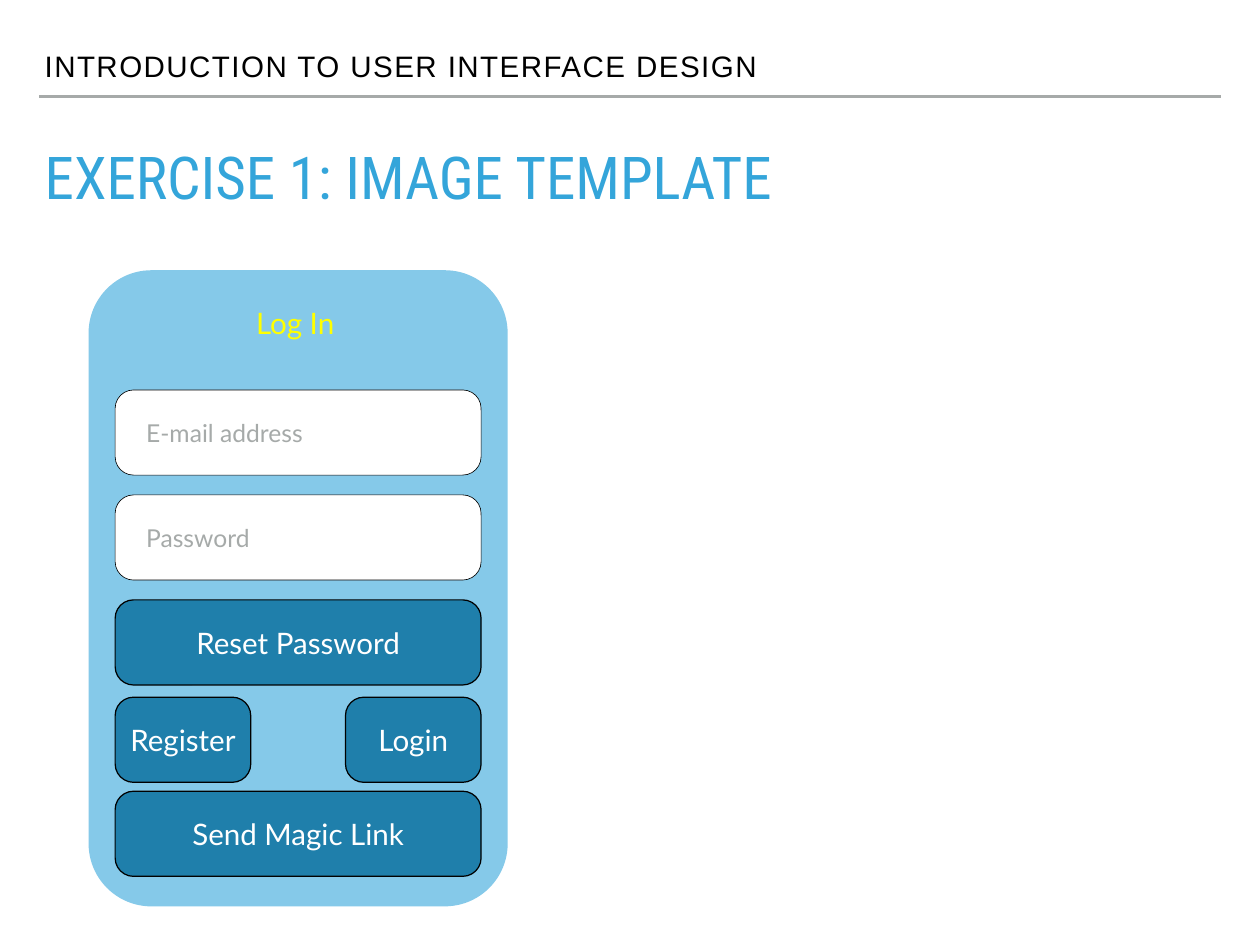
import pptx
import pptx.util
import pptx.dml.color
import pptx.enum.shapes
import pptx.enum.text
from lxml import etree

Pt = pptx.util.Pt
ALIGN = pptx.enum.text.PP_ALIGN
ANCHOR = pptx.enum.text.MSO_ANCHOR
COLORS = {
    "black": "000000",
    "white": "FFFFFF",
    "gray": "A6AAA9",
    "title": "34A5DA",
    "card": "85C9E9",
    "button": "1F7FAB",
    "yellow": "FFFF00",
}
INSET = 4.3


def color(name):
    return pptx.dml.color.RGBColor.from_string(COLORS[name])


def write_text(shape, text, *, size=24, font="Lato", fill="white", align=ALIGN.LEFT,
               anchor=ANCHOR.MIDDLE, wrap=True, line_spacing=1.0, tracking=0):
    frame = shape.text_frame
    frame.word_wrap = wrap
    frame.auto_size = pptx.enum.text.MSO_AUTO_SIZE.NONE
    frame.vertical_anchor = anchor
    frame.margin_left = frame.margin_right = Pt(INSET)
    frame.margin_top = frame.margin_bottom = Pt(INSET)
    paragraph = frame.paragraphs[0]
    paragraph.alignment = align
    paragraph.line_spacing = line_spacing
    run = paragraph.add_run()
    run.text = text
    run.font.size = Pt(size)
    run.font.name = font
    run.font.color.rgb = color(fill)
    if tracking:
        run._r.get_or_add_rPr().set("spc", str(round(tracking * 100)))


def add_label(slide, box, text, **style):
    label = slide.shapes.add_textbox(*map(Pt, box))
    write_text(label, text, **style)


def add_rounded(slide, box, fill, radius, line_width=0):
    shape = slide.shapes.add_shape(
        pptx.enum.shapes.MSO_SHAPE.ROUNDED_RECTANGLE, *map(Pt, box))
    shape.shadow.inherit = False
    shape.adjustments[0] = radius
    shape.fill.solid()
    shape.fill.fore_color.rgb = color(fill)
    if line_width:
        shape.line.color.rgb = color("black")
        shape.line.width = Pt(line_width)
    else:
        shape.line.fill.background()
    return shape


def add_header(slide, box):
    left, top, width, height = box
    rule_y = top + height + 6.5
    rule = slide.shapes.add_connector(
        pptx.enum.shapes.MSO_CONNECTOR.STRAIGHT,
        Pt(left), Pt(rule_y), Pt(left + width), Pt(rule_y))
    rule.line.color.rgb = color("gray")
    rule.line.width = Pt(2)
    etree.SubElement(rule._element.spPr, pptx.oxml.ns.qn("a:effectLst"))
    add_label(slide, (left, top, 880, height), "INTRODUCTION TO USER INTERFACE DESIGN",
              font="Arial", fill="black", anchor=ANCHOR.BOTTOM, line_spacing=0.8,
              tracking=1.2)


def add_title(slide, box):
    title = slide.shapes.title
    title.left, title.top, title.width, title.height = map(Pt, box)
    write_text(title, "EXERCISE 1: IMAGE TEMPLATE", size=48, font="Roboto Condensed",
               fill="title", anchor=ANCHOR.TOP, line_spacing=0.8)


def add_login_card(slide, box):
    left, top, width, height = box
    margin, control_height, step = 21.6, 69.2, 85.3
    control_left = left + margin
    full_width = width - 2 * margin
    half_width = 110.2
    right_left = control_left + full_width - half_width
    first_top = top + 97.3

    add_rounded(slide, box, "card", 0.15)
    add_label(slide, (left + 131.8, top + 23.8, 77, 37.4), "Log In",
              fill="yellow", wrap=False)

    fields = [("E-mail address", 144), ("Password", 95.8)]
    for index, (text, text_width) in enumerate(fields):
        field_top = first_top + index * step
        add_rounded(slide, (control_left, field_top, full_width, control_height),
                    "white", 0.216, 0.5)
        add_label(slide, (control_left + 20.9, field_top + 17.1, text_width, 35), text,
                  size=20, fill="gray", wrap=False)

    buttons = [
        ("Reset Password", control_left, first_top + 2 * step, full_width),
        ("Register", control_left, top + 347, half_width),
        ("Login", right_left, top + 347, half_width),
        ("Send Magic Link", control_left, top + 423.4, full_width),
    ]
    for text, button_left, button_top, button_width in buttons:
        button = add_rounded(
            slide, (button_left, button_top, button_width, control_height),
            "button", 0.216, 1)
        write_text(button, text, align=ALIGN.CENTER)


def main():
    presentation = pptx.Presentation()
    presentation.slide_width = Pt(1024)
    presentation.slide_height = Pt(768)
    slide = presentation.slides.add_slide(presentation.slide_layouts[5])
    add_header(slide, (32, 36, 960, 36))
    add_title(slide, (32, 121, 960, 57))
    add_login_card(slide, (72, 219.6, 340.6, 517))
    presentation.save("out.pptx")


if __name__ == "__main__":
    main()
